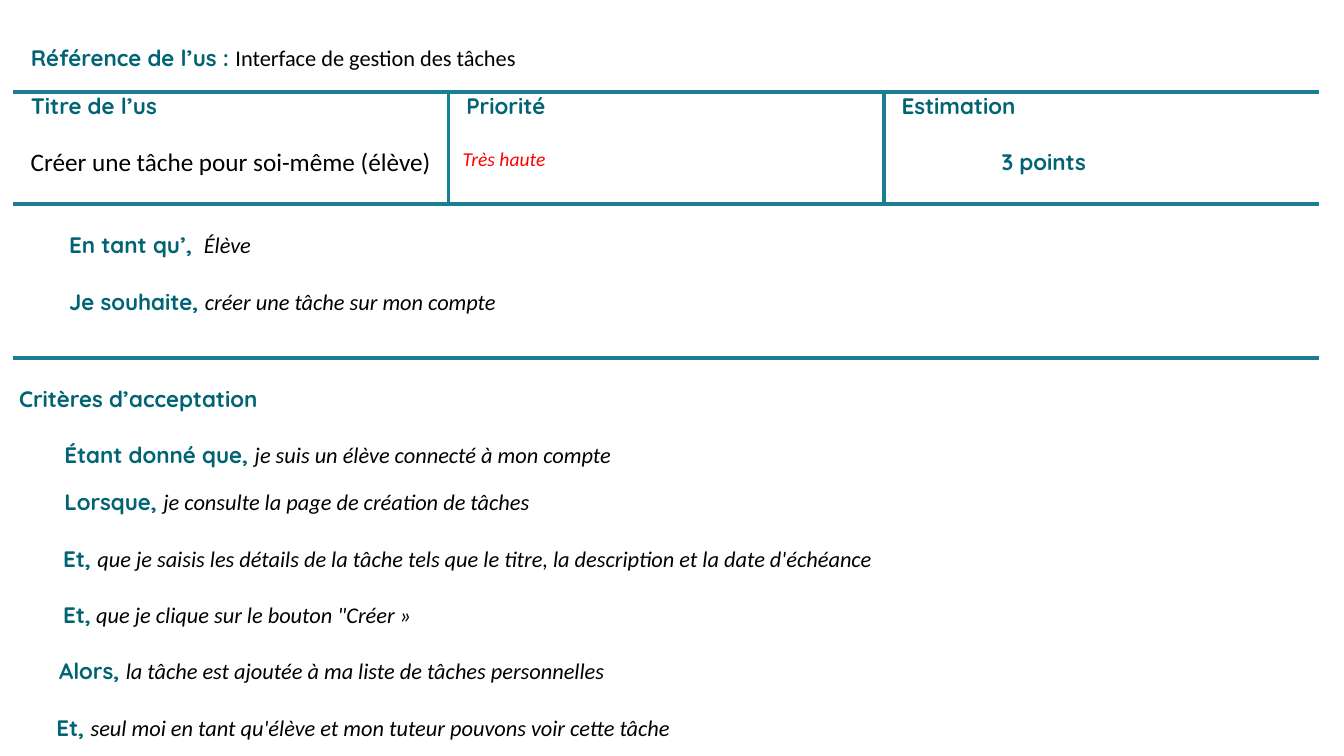
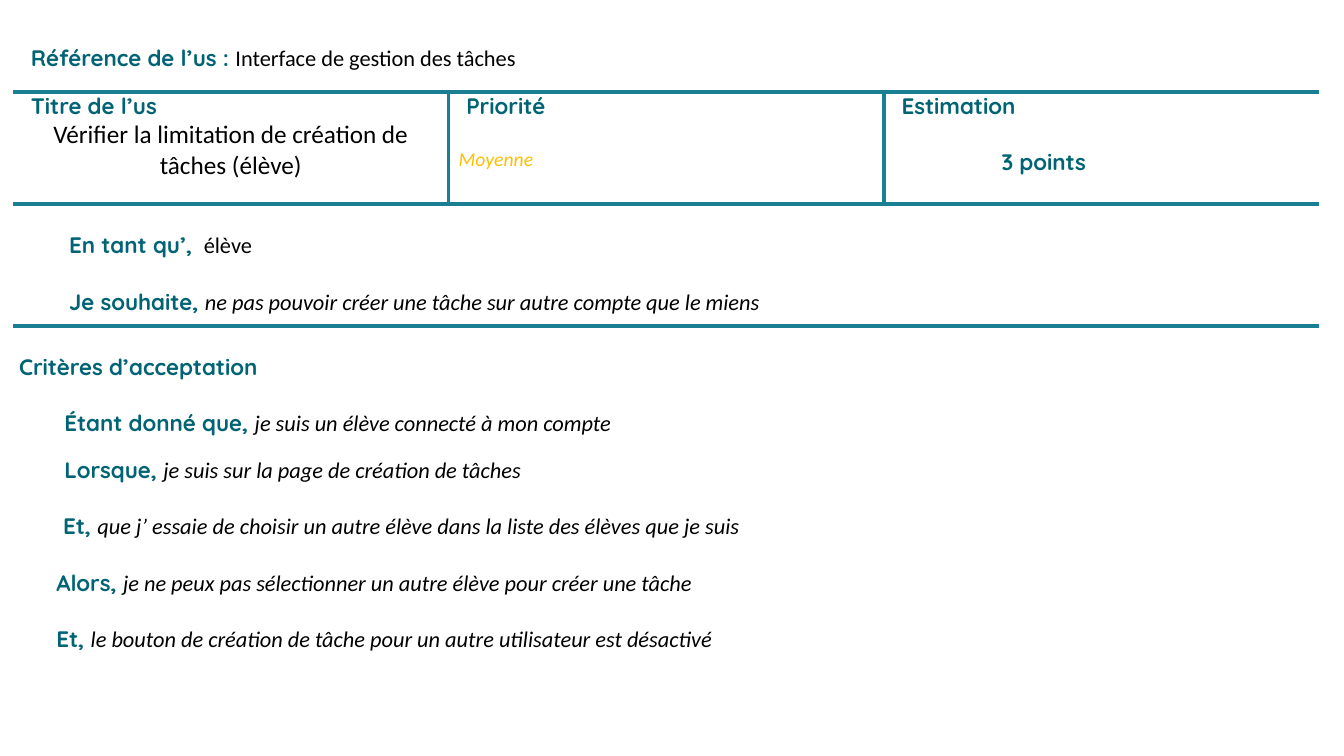
from dataclasses import dataclass

from lxml import etree
from pptx import Presentation
from pptx.dml.color import RGBColor
from pptx.enum.text import MSO_ANCHOR, PP_ALIGN
from pptx.oxml.ns import qn
from pptx.table import Table, _Cell
from pptx.util import Cm, Pt

LEFT, CENTER = PP_ALIGN.LEFT, PP_ALIGN.CENTER
TOP = MSO_ANCHOR.TOP

TEAL, RULE, WHITE, BLACK = "006474", "1A7F93", "FFFFFF", "000000"
RED, AMBER = "FF0000", "FFC000"
HEADING_FONT, BODY_FONT = "Quicksand", "Calibri"

RULE_WIDTH = Pt(3)
COLUMN_COUNT, COLUMN_WIDTH = 3, 10.97
TABLE_LEFT, TABLE_TOP = 0.33, 0.43
SIDE_MARGIN, LINE_MARGIN = 0.15, 0.69
LABEL_INDENT, STORY_INDENT, POINTS_INDENT = 0.3, 1.26, 2.82
REFERENCE_HEIGHT, SUMMARY_HEIGHT = 1.89, 2.82
REFERENCE_ROW, SUMMARY_ROW, STORY_ROW, CRITERIA_ROW = range(4)
LINE_GAP, SHORT_GAP = 20, 13.4


@dataclass(frozen=True)
class Span:
    """Piece of text in one format."""
    text: str
    color: str = BLACK
    font: str = BODY_FONT
    size: float = 16
    bold: bool = False
    italic: bool = False


@dataclass(frozen=True)
class Line:
    """Paragraph with its indent in cm and the gap above it in points."""
    spans: tuple[Span, ...]
    indent: float = 0
    gap: float = 0
    align: PP_ALIGN = LEFT


@dataclass(frozen=True)
class UserStory:
    """Content of one user story card."""
    title: str
    title_gap: float
    priority: Line
    role: Span
    wish: str
    story_height: float
    criteria_height: float
    criteria: tuple[Line, ...]


def rgb(value: str) -> RGBColor:
    """Turn a hex string into a colour."""
    return RGBColor.from_string(value)


def heading(text: str) -> Span:
    """Return a bold teal span."""
    return Span(text, TEAL, HEADING_FONT, bold=True)


def label(text: str) -> Line:
    """Return the heading line of a summary cell."""
    return Line((heading(text),), LABEL_INDENT)


def clause(keyword: str, text: str, indent: float, gap: float = LINE_GAP) -> Line:
    """Return a teal keyword followed by an italic statement."""
    return Line((heading(keyword), Span(text, italic=True)), indent, gap)


def priority(level: str, color: str, indent: float) -> Line:
    """Return the coloured priority level."""
    return Line((Span(level, color, size=14, italic=True),), indent, LINE_GAP)


def write_lines(cell: _Cell, lines: tuple[Line, ...], top: float = 0) -> None:
    """Write lines into a cell, starting below a top margin in cm."""
    cell.margin_top = Cm(top)
    frame = cell.text_frame
    for index, line in enumerate(lines):
        paragraph = frame.add_paragraph() if index else frame.paragraphs[0]
        paragraph.alignment = line.align
        paragraph.space_before = Pt(line.gap)
        properties = paragraph._p.get_or_add_pPr()
        properties.set("marL", str(Cm(line.indent)))
        properties.set("indent", "0")
        for span in line.spans:
            run = paragraph.add_run()
            run.text = span.text
            font = paragraph.font if len(line.spans) == 1 else run.font
            font.name, font.size = span.font, Pt(span.size)
            font.bold, font.italic = span.bold, span.italic
            font.color.rgb = rgb(span.color)


def set_borders(cell: _Cell, ruled: dict[str, bool]) -> None:
    """Rule the chosen sides of a cell and clear the others."""
    properties = cell._tc.get_or_add_tcPr()
    for index, (side, visible) in enumerate(ruled.items()):
        border = etree.Element(qn(f"a:ln{side}"), w=str(RULE_WIDTH))
        if visible:
            fill = etree.SubElement(border, qn("a:solidFill"))
            etree.SubElement(fill, qn("a:srgbClr"), val=RULE)
        else:
            etree.SubElement(border, qn("a:noFill"))
        properties.insert(index, border)


def format_grid(table: Table) -> None:
    """Fill, pad and rule every cell, then merge the full-width rows."""
    table.first_row = table.horz_banding = False
    for column in table.columns:
        column.width = Cm(COLUMN_WIDTH)
    last_column = COLUMN_COUNT - 1
    for row in range(len(table.rows)):
        for column in range(COLUMN_COUNT):
            cell = table.cell(row, column)
            cell.fill.solid()
            cell.fill.fore_color.rgb = rgb(WHITE)
            cell.vertical_anchor = TOP
            cell.margin_left = cell.margin_right = Cm(SIDE_MARGIN)
            cell.margin_top = cell.margin_bottom = 0
            set_borders(cell, {
                "L": row == SUMMARY_ROW and column > 0,
                "R": row == SUMMARY_ROW and column < last_column,
                "T": row > REFERENCE_ROW,
                "B": row < CRITERIA_ROW,
            })
        if row != SUMMARY_ROW:
            table.cell(row, 0).merge(table.cell(row, last_column))


def add_story(deck: Presentation, story: UserStory) -> None:
    """Add a slide holding one user story card."""
    slide = deck.slides.add_slide(deck.slide_layouts[6])
    heights = (REFERENCE_HEIGHT, SUMMARY_HEIGHT,
               story.story_height, story.criteria_height)
    table = slide.shapes.add_table(
        len(heights), COLUMN_COUNT, Cm(TABLE_LEFT), Cm(TABLE_TOP),
        Cm(COLUMN_COUNT * COLUMN_WIDTH), Cm(sum(heights))).table
    for row, height in zip(table.rows, heights):
        row.height = Cm(height)
    format_grid(table)

    reference = (heading("Référence de l’us\u00a0: "),
                 Span("Interface de gestion des tâches"))
    write_lines(table.cell(REFERENCE_ROW, 0),
                (Line(reference, LABEL_INDENT),), LINE_MARGIN)

    summary = (
        (label("Titre de l’us"),
         Line((Span(story.title, size=18),), gap=story.title_gap, align=CENTER)),
        (label("Priorité"), story.priority),
        (label("Estimation"),
         Line((heading("3 points"),), POINTS_INDENT, LINE_GAP)),
    )
    for column, lines in enumerate(summary):
        write_lines(table.cell(SUMMARY_ROW, column), lines)

    write_lines(table.cell(STORY_ROW, 0), (
        Line((heading("En tant qu’, "), story.role), STORY_INDENT),
        clause("Je souhaite, ", story.wish, STORY_INDENT),
    ), LINE_MARGIN)
    write_lines(table.cell(CRITERIA_ROW, 0), (
        Line((heading("Critères d’acceptation"),)),
        clause("Étant donné que, ", "je suis un élève connecté à mon compte", 1.14),
        *story.criteria,
    ), LINE_MARGIN)


STORIES = (
    UserStory(
        title="Créer une tâche pour soi-même (élève)",
        title_gap=LINE_GAP,
        priority=priority("Très haute", RED, 0.21),
        role=Span("\u00a0Élève", italic=True),
        wish="créer une tâche sur mon compte",
        story_height=3.88,
        criteria_height=9.68,
        criteria=(
            clause("Lorsque, ", "je consulte la page de création de tâches",
                   1.14, SHORT_GAP),
            clause("Et, ", "que je saisis les détails de la tâche tels que le titre, "
                   "la description et la date d'échéance", 1.11),
            clause("Et,", " que je clique sur le bouton \"Créer\u00a0»", 1.11),
            clause("Alors, ", "la tâche est ajoutée à ma liste de tâches personnelles",
                   1.01),
            clause("Et, ", "seul moi en tant qu'élève et mon tuteur pouvons voir "
                   "cette tâche", 0.94),
        ),
    ),
    UserStory(
        title="Vérifier la limitation de création de tâches (élève)",
        title_gap=0,
        priority=priority("Moyenne", AMBER, 0.11),
        role=Span("\u00a0élève"),
        wish="ne pas pouvoir créer une tâche sur autre compte que le miens",
        story_height=3.07,
        criteria_height=8.2,
        criteria=(
            clause("Lorsque, ", "je suis sur la page de création de tâches",
                   1.14, SHORT_GAP),
            clause("Et, ", "que j’ essaie de choisir un autre élève dans la liste "
                   "des élèves que je suis", 1.11),
            clause("Alors, ", "je ne peux pas sélectionner un autre élève pour créer "
                   "une tâche", 0.94),
            clause("Et, ", "le bouton de création de tâche pour un autre utilisateur "
                   "est désactivé", 0.94),
        ),
    ),
)


def main() -> None:
    """Build and save the deck."""
    deck = Presentation()
    deck.slide_width, deck.slide_height = Cm(33.87), Cm(19.05)
    for story in STORIES:
        add_story(deck, story)
    deck.save("out.pptx")


main()
